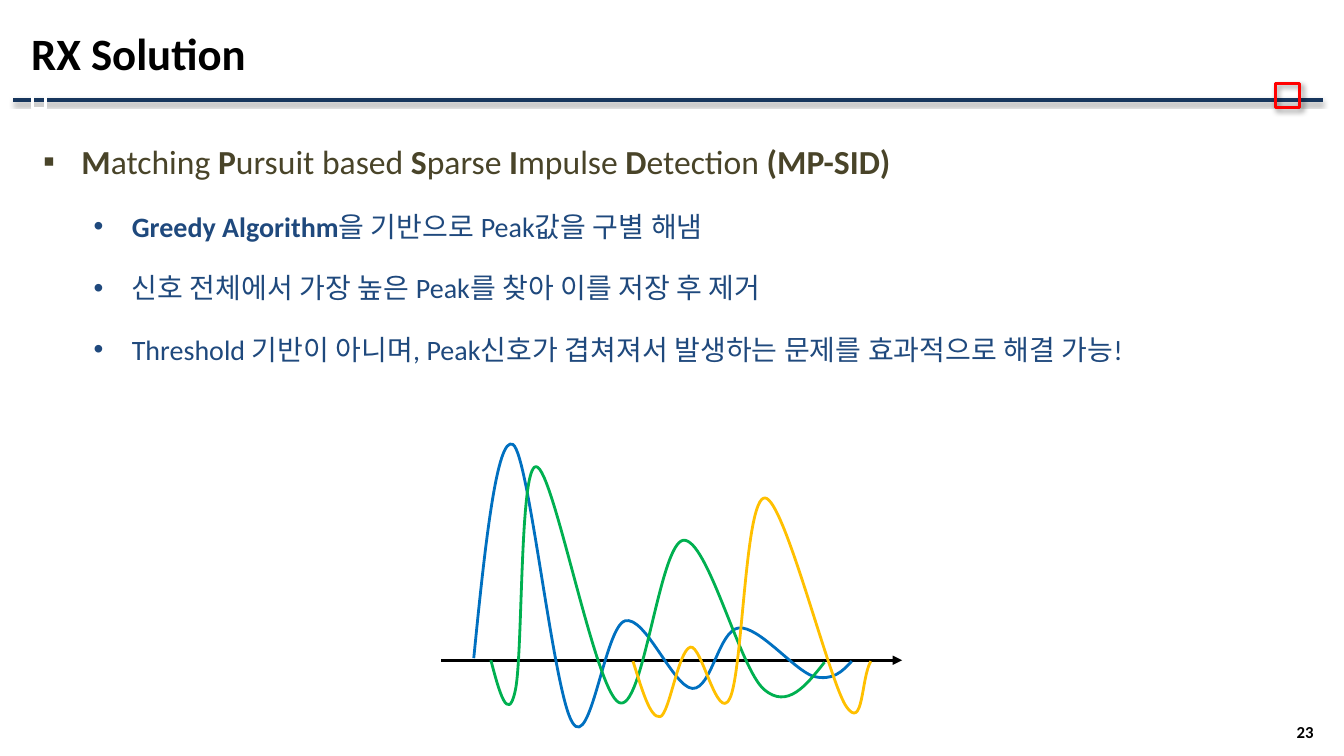
from lxml.etree import SubElement
from pptx import Presentation
from pptx.dml.color import RGBColor
from pptx.enum.lang import MSO_LANGUAGE_ID
from pptx.enum.shapes import MSO_CONNECTOR, MSO_SHAPE
from pptx.enum.text import MSO_ANCHOR, PP_ALIGN
from pptx.oxml.ns import qn
from pptx.util import Inches, Pt

BODY = [
    (0, "*M*atching *P*ursuit based *S*parse *I*mpulse *D*etection *(MP-SID)*"),
    (1, "*Greedy Algorithm*을 기반으로 Peak값을 구별 해냄"),
    (1, "신호 전체에서 가장 높은 Peak를 찾아 이를 저장 후 제거"),
    (1, "Threshold 기반이 아니며, Peak신호가 겹쳐져서 발생하는 문제를 효과적으로 해결 가능!"),
]
LEVELS = [
    {"size": 24, "color": "494429", "mark": "▪", "left": 0.5},
    {"size": 20, "color": "1F497D", "mark": "•", "left": 1},
]
WAVES = [
    ("0070C0", 2.81, [
        (0.32, 2.12), (0.43, 1.01), (0.55, -0.1), (0.71, 0),
        (0.87, 0.11), (1.11, 2.47), (1.3, 2.76),
        (1.48, 3.05), (1.62, 1.81), (1.82, 1.75),
        (2.02, 1.69), (2.3, 2.41), (2.49, 2.42),
        (2.68, 2.43), (2.75, 1.84), (2.95, 1.82),
        (3.15, 1.8), (3.5, 2.24), (3.69, 2.3),
        (3.88, 2.35), (3.98, 2.25), (4.07, 2.15),
    ]),
    ("00B050", 2.37, [
        (0.49, 2.14), (0.57, 2.45), (0.66, 2.77), (0.73, 2.45),
        (0.81, 2.13), (0.77, 0.2), (0.94, 0.22),
        (1.11, 0.23), (1.52, 2.44), (1.76, 2.56),
        (2, 2.68), (2.16, 0.98), (2.4, 0.95),
        (2.64, 0.93), (2.96, 2.23), (3.2, 2.43),
        (3.43, 2.63), (3.62, 2.39), (3.8, 2.16),
    ]),
    ("FFC000", 2.17, [
        (1.9, 2.15), (1.99, 2.43), (2.07, 2.72), (2.17, 2.7),
        (2.26, 2.68), (2.35, 2.04), (2.47, 2.01),
        (2.58, 1.98), (2.74, 2.77), (2.86, 2.52),
        (2.99, 2.27), (3.01, 0.52), (3.21, 0.53),
        (3.4, 0.54), (3.84, 2.32), (4.01, 2.59),
        (4.19, 2.86), (4.16, 2.32), (4.26, 2.15),
    ]),
]


def paint(color):
    return RGBColor.from_string(color)


def assign(target, values):
    for name, value in values.items():
        setattr(target, name, value)


def stroke(shape, color, width):
    shape.line.color.rgb = paint(color)
    shape.line.width = Pt(width)


def shade(shape, alpha, blur, dist, angle):
    props = shape._element.spPr
    for old in props.findall(qn("a:effectLst")):
        props.remove(old)
    effects = SubElement(props, qn("a:effectLst"))
    if not alpha:
        return
    outer = SubElement(effects, qn("a:outerShdw"), blurRad=str(Pt(blur)),
                       dist=str(Pt(dist)), dir=str(angle * 60000),
                       algn="tl", rotWithShape="0")
    tint = SubElement(outer, qn("a:srgbClr"), val="000000")
    SubElement(tint, qn("a:alpha"), val=str(alpha * 1000))


def add_rule(slide, start, end, top, color, width):
    rule = slide.shapes.add_connector(
        MSO_CONNECTOR.STRAIGHT, Inches(start), Inches(top), Inches(end), Inches(top))
    stroke(rule, color, width)
    shade(rule, 0, 0, 0, 0)
    return rule


def add_square(slide, box, color):
    square = slide.shapes.add_shape(MSO_SHAPE.RECTANGLE, *map(Inches, box))
    square.fill.background()
    square.shadow.inherit = False
    stroke(square, color, 2.25)
    return square


def add_frame(slide, box, anchor):
    frame = slide.shapes.add_textbox(*map(Inches, box)).text_frame
    assign(frame, {"word_wrap": True, "vertical_anchor": anchor})
    return frame


def add_run(para, text, size, color, bold):
    run = para.add_run()
    run.text = text
    assign(run.font, {"name": "Calibri", "size": Pt(size), "bold": bold,
                      "language_id": MSO_LANGUAGE_ID.KOREAN})
    run.font.color.rgb = paint(color)
    latin = run.font._element.find(qn("a:latin"))
    east = SubElement(run.font._element, qn("a:ea"), typeface="Calibri")
    latin.addnext(east)


def add_label(slide, box, text, size, align):
    para = add_frame(slide, box, MSO_ANCHOR.MIDDLE).paragraphs[0]
    para.alignment = align
    add_run(para, text, size, "000000", True)


def add_header(slide, box):
    left, top, width, height = box
    base = top + height
    rule = add_rule(slide, left - 0.08, left + width, base - 0.01, "17365D", 3)
    shade(rule, 35, 3.1, 1.8, 90)
    add_square(slide, (left + 0.11, base - 0.08, 0.13, 0.16), "FFFFFF")
    badge = add_square(slide, (left + width - 0.48, base - 0.17, 0.24, 0.24), "FF0000")
    shade(badge, 40, 4, 3, 45)
    add_label(slide, box, "RX Solution", 32, PP_ALIGN.LEFT)


def add_bullet(para, style):
    props = para._p.get_or_add_pPr()
    props.set("marL", str(Inches(style["left"])))
    props.set("indent", str(Inches(-0.38)))
    tint = SubElement(props, qn("a:buClr"))
    SubElement(tint, qn("a:srgbClr"), val=style["color"])
    SubElement(props, qn("a:buFont"), typeface="Arial")
    SubElement(props, qn("a:buChar"), char=style["mark"])


def add_body(slide, box):
    frame = add_frame(slide, box, MSO_ANCHOR.TOP)
    for row, (level, text) in enumerate(BODY):
        para = frame.add_paragraph() if row else frame.paragraphs[0]
        style = LEVELS[level]
        assign(para, {"level": level, "line_spacing": 1.5, "space_before": Pt(8)})
        add_bullet(para, style)
        for part, piece in enumerate(text.split("*")):
            if piece:
                add_run(para, piece, style["size"], style["color"], part % 2 == 1)


def add_wave(slide, color, height, spots):
    pen = slide.shapes.build_freeform(*spots[0])
    pen.add_line_segments(spots[3::3], close=False)
    wave = pen.convert_to_shape()
    wave.height = Inches(height)
    route = wave._element.spPr.find(".//" + qn("a:path"))
    route.set("h", str(wave.height))
    for old in route.findall(qn("a:lnTo")):
        route.remove(old)
    for first in range(1, len(spots), 3):
        curve = SubElement(route, qn("a:cubicBezTo"))
        for x, y in spots[first:first + 3]:
            SubElement(curve, qn("a:pt"), x=str(x - wave.left), y=str(y - wave.top))
    wave.fill.background()
    wave.shadow.inherit = False
    stroke(wave, color, 2)


def add_plot(slide, box):
    left, top, width, height = box
    axis = add_rule(slide, left, left + width, top + 2.14, "000000", 2.25)
    SubElement(axis.line._get_or_add_ln(), qn("a:tailEnd"), type="triangle")
    for color, tall, knots in WAVES:
        spots = [(Inches(left + x), Inches(top + y)) for x, y in knots]
        add_wave(slide, color, tall, spots)


def main():
    deck = Presentation()
    assign(deck, {"slide_width": Inches(40 / 3), "slide_height": Inches(7.5)})
    slide = deck.slides.add_slide(deck.slide_layouts[6])
    add_header(slide, (0.21, 0.05, 12.92, 0.95))
    add_label(slide, (12.18, 7.14, 0.95, 0.24), "23", 12, PP_ALIGN.RIGHT)
    add_body(slide, (0.21, 1.15, 11.97, 5.99))
    add_plot(slide, (4.38, 4.41, 4.57, 2.81))
    deck.save("out.pptx")


if __name__ == "__main__":
    main()
